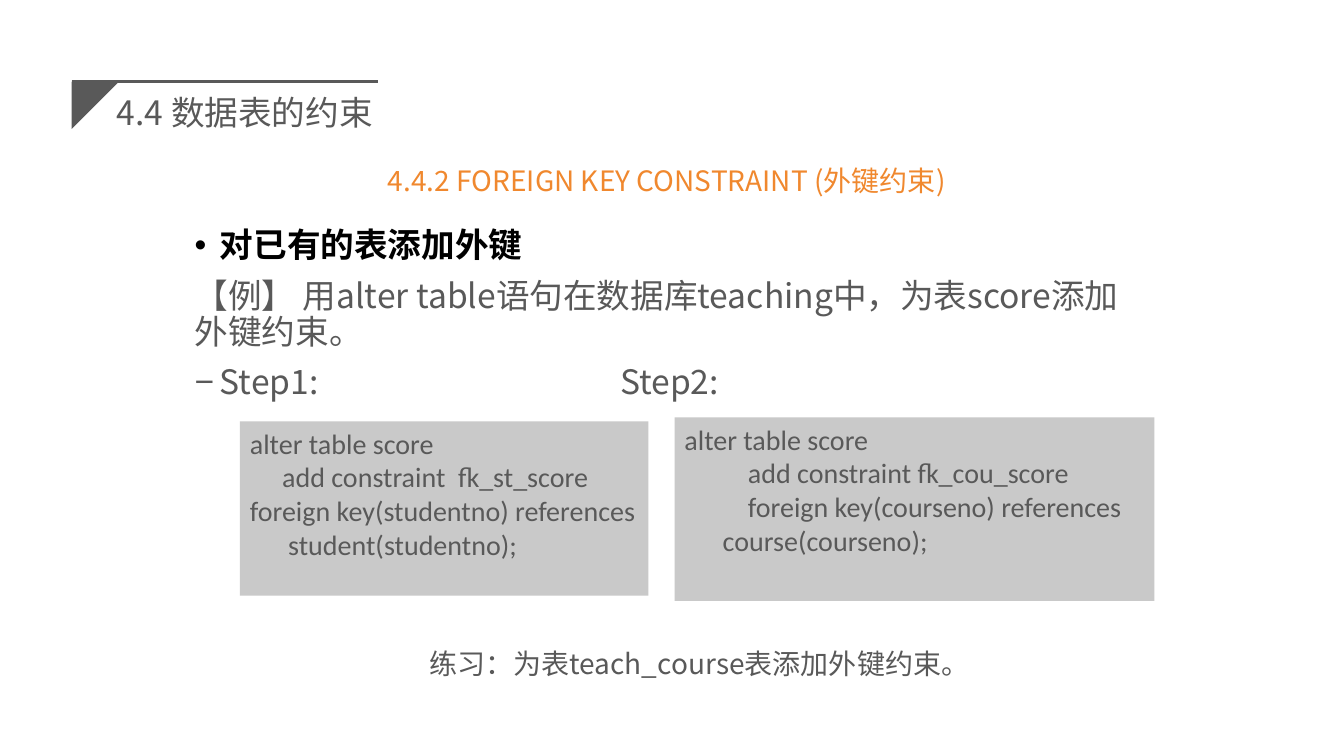
from pptx import Presentation
from pptx.dml.color import RGBColor
from pptx.enum.shapes import MSO_CONNECTOR, MSO_SHAPE
from pptx.enum.text import MSO_ANCHOR, MSO_AUTO_SIZE, PP_ALIGN
from pptx.oxml.ns import qn
from pptx.util import Pt
from lxml.etree import SubElement

EMU_PER_PX = 9144
GREY, ORANGE, BLACK, CODE_FILL = "595959", "F0882E", "000000", "C9C9C9"


def px(length):
    return length * EMU_PER_PX


def color(value):
    return RGBColor.from_string(value)


class SlideBuilder:
    font = "Noto Sans CJK SC"
    code_font = "Calibri"

    def __init__(self, slide):
        self.slide = slide

    def place(self, shape, box):
        for name, length in zip(("left", "top", "width", "height"), box):
            setattr(shape, name, px(length))

    def frame(self, shape, anchor=MSO_ANCHOR.TOP):
        text_frame = shape.text_frame
        settings = {
            "word_wrap": True,
            "auto_size": MSO_AUTO_SIZE.NONE,
            "vertical_anchor": anchor,
            "margin_left": px(10),
            "margin_right": px(10),
            "margin_top": px(5),
            "margin_bottom": px(5),
        }
        for name, value in settings.items():
            setattr(text_frame, name, value)
        return text_frame

    def paragraph(self, text_frame, text, size, ink=GREY, font=None, bold=False,
                  margin=0, indent=0, spacing=1.0, before=0, bullet=None, tab=None):
        paragraph = text_frame.paragraphs[0]
        if paragraph.runs:
            paragraph = text_frame.add_paragraph()
        layout = {"alignment": PP_ALIGN.LEFT, "line_spacing": spacing,
                  "space_before": Pt(before)}
        for name, value in layout.items():
            setattr(paragraph, name, value)
        properties = paragraph._p.get_or_add_pPr()
        properties.set("marL", str(px(margin)))
        properties.set("indent", str(px(indent)))
        if bullet:
            SubElement(properties, qn("a:buChar"), char=bullet)
        else:
            SubElement(properties, qn("a:buNone"))
        if tab:
            stops = SubElement(properties, qn("a:tabLst"))
            SubElement(stops, qn("a:tab"), pos=str(px(tab)), algn="l")
        run = paragraph.add_run()
        run.text = text
        style = {"size": Pt(size), "bold": bold, "name": font or self.font}
        for name, value in style.items():
            setattr(run.font, name, value)
        run.font.color.rgb = color(ink)
        SubElement(run._r.get_or_add_rPr(), qn("a:ea"), typeface=self.font)

    def title(self, text, box):
        shape = self.slide.shapes.title
        self.place(shape, box)
        self.paragraph(self.frame(shape, MSO_ANCHOR.MIDDLE), text, 24)

    def body(self, items, box):
        shape = self.slide.placeholders[1]
        self.place(shape, box)
        text_frame = self.frame(shape)
        for text, options in items:
            self.paragraph(text_frame, text, 24, spacing=0.9, before=10, **options)

    def label(self, text, box, **options):
        shape = self.slide.shapes.add_textbox(*map(px, box))
        self.paragraph(self.frame(shape), text, 20, **options)

    def code(self, lines, box):
        shape = self.slide.shapes.add_shape(MSO_SHAPE.RECTANGLE, *map(px, box))
        self.fill(shape, CODE_FILL)
        text_frame = self.frame(shape)
        for text, start in lines:
            self.paragraph(text_frame, text, 20, font=self.code_font,
                           margin=38, indent=start - 38)

    def fill(self, shape, value):
        shape.shadow.inherit = False
        shape.fill.solid()
        shape.fill.fore_color.rgb = color(value)
        shape.line.fill.background()

    def corner(self, left, top, side):
        outline = self.slide.shapes.build_freeform(px(left), px(top))
        outline.add_line_segments([(px(left + side), px(top)),
                                   (px(left), px(top + side))], close=True)
        self.fill(outline.convert_to_shape(), GREY)

    def rule(self, left, right, top):
        connector = self.slide.shapes.add_connector(
            MSO_CONNECTOR.STRAIGHT, px(left), px(top), px(right), px(top))
        connector.line.color.rgb = color(GREY)
        connector.line.width = Pt(1.75)
        SubElement(connector._element.spPr, qn("a:effectLst"))


def main():
    presentation = Presentation()
    presentation.slide_width, presentation.slide_height = px(1333), px(750)
    slide = presentation.slides.add_slide(presentation.slide_layouts[1])
    builder = SlideBuilder(slide)

    builder.title("4.4 数据表的约束", (106, 69, 395, 84))
    builder.corner(71, 81, 47)
    builder.rule(71, 375, 81)
    builder.body([
        ("对已有的表添加外键",
         {"ink": BLACK, "bold": True, "margin": 25, "indent": -25, "bullet": "•"}),
        ("【例】 用alter table语句在数据库teaching中，为表score添加外键约束。", {}),
        ("Step1:\tStep2:",
         {"margin": 25, "indent": -25, "bullet": "−", "tab": 422}),
    ], (183, 222, 967, 320))
    builder.code([
        ("alter table score", 0),
        ("add constraint  fk_st_score", 32),
        ("foreign key(studentno) references student(studentno);", 0),
    ], (238, 418, 405, 173))
    builder.code([
        ("alter table score", 0),
        ("add constraint fk_cou_score", 63),
        ("foreign key(courseno) references course(courseno);", 63),
    ], (669, 414, 476, 182))
    builder.label("4.4.2 FOREIGN KEY CONSTRAINT (外键约束)", (375, 141, 596, 60),
                  ink=ORANGE, spacing=1.5)
    builder.label("练习：为表teach_course表添加外键约束。", (416, 636, 600, 44))
    presentation.save("out.pptx")


if __name__ == "__main__":
    main()
